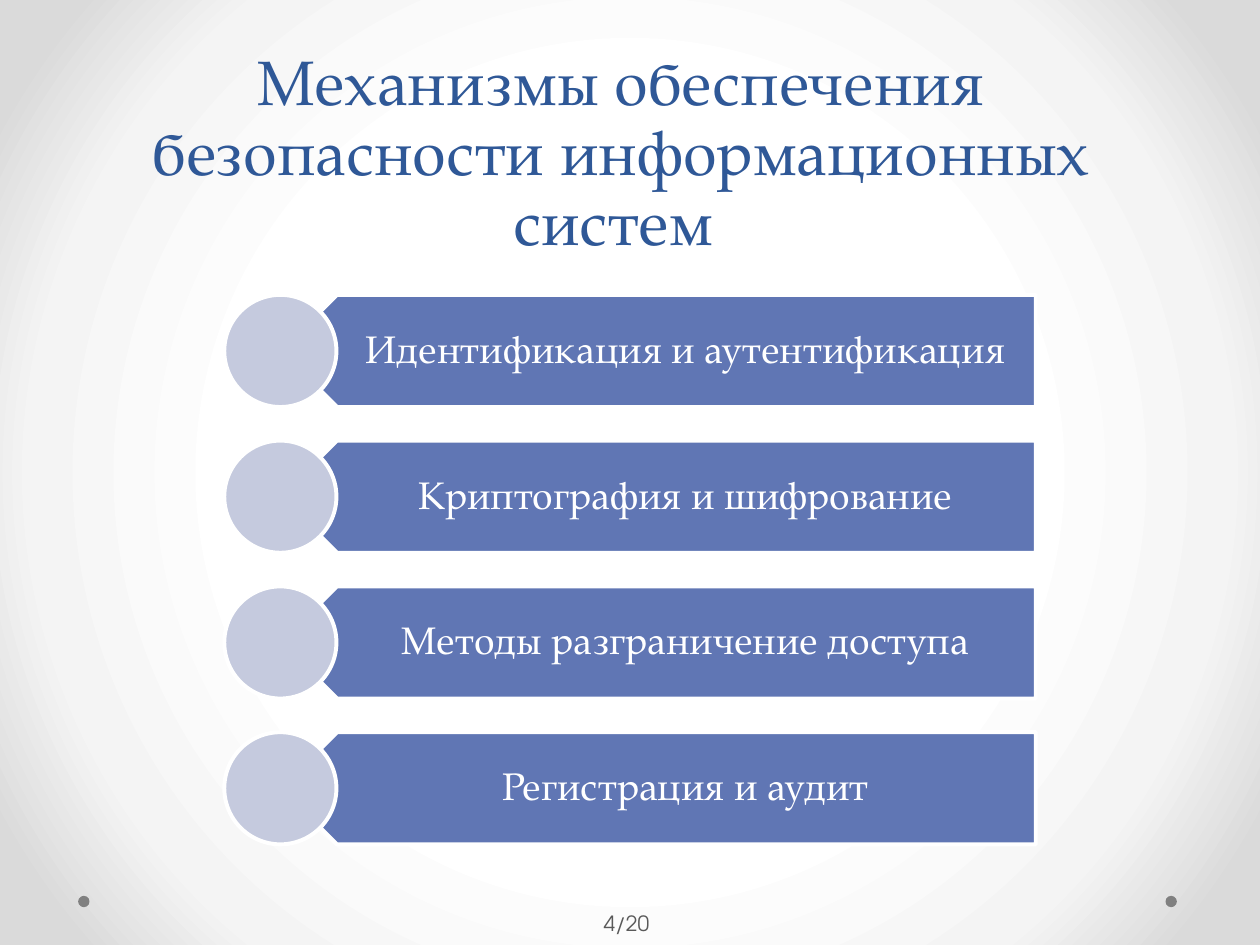
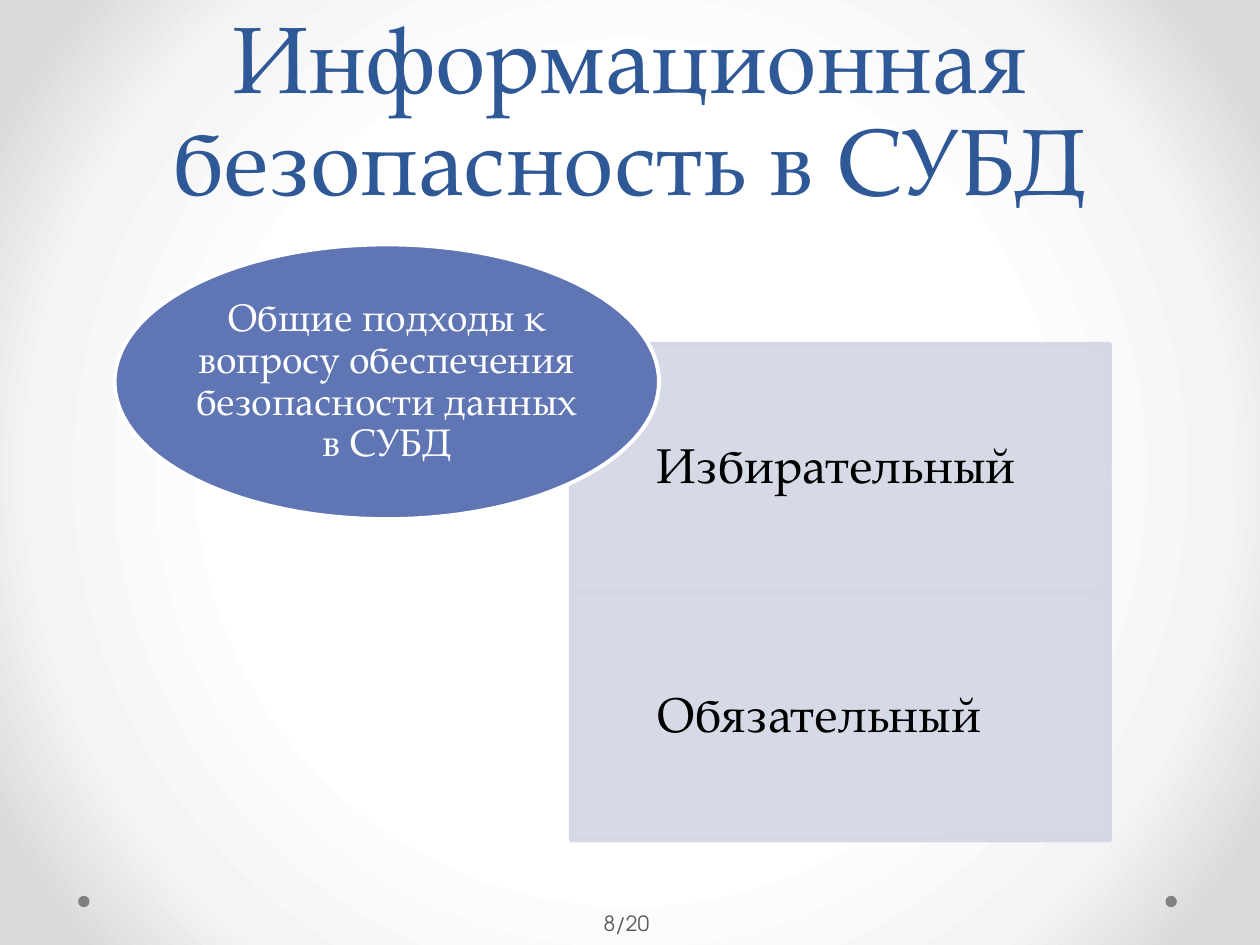
import dataclasses
import typing

import pptx
import pptx.dml.color
import pptx.enum.shapes
import pptx.enum.text
import pptx.oxml
import pptx.oxml.ns
import pptx.util

Inches = pptx.util.Inches
Pt = pptx.util.Pt
Kind = pptx.enum.shapes.MSO_SHAPE
Align = pptx.enum.text.PP_ALIGN
Anchor = pptx.enum.text.MSO_ANCHOR
qn = pptx.oxml.ns.qn

INK = {
    "title": "2F5897",
    "bar": "6076B4",
    "disc": "C5CADE",
    "panel": "D2D6E5",
    "white": "FFFFFF",
    "black": "000000",
    "dot": "808080",
    "page": "595959",
}
STOPS = [(50, "FFFFFF"), (76, "F4F4F4"), (92, "DADADA")]
SERIF = "TeX Gyre Pagella"
SANS = "TeX Gyre Adventor"


@dataclasses.dataclass(frozen=True)
class Box:
    left: float
    top: float
    width: float
    height: float

    def place(self) -> dict[str, int]:
        return {key: Inches(val) for key, val in dataclasses.asdict(self).items()}


@dataclasses.dataclass(frozen=True)
class Style:
    size: float
    ink: str
    font: str = SERIF
    align: Align = Align.CENTER
    anchor: Anchor = Anchor.MIDDLE
    inset: tuple[float, float, float, float] = (0, 0, 0, 0)
    space: typing.Any = 0.9


BAR = Style(22, "white", inset=(0.39, 0.09, 0.17, 0.09))
OVAL = Style(22, "white")
PANEL = Style(28, "black", align=Align.LEFT, inset=(0.68, 0.22, 0.22, 0.22))
PAGE = Style(12, "page", SANS, inset=(0.05, 0.05, 0.1, 0.05), space=1.0)


def apply(thing: typing.Any, values: dict[str, typing.Any]) -> None:
    for key, val in values.items():
        setattr(thing, key, val)


def tint(name: str) -> pptx.dml.color.RGBColor:
    return pptx.dml.color.RGBColor.from_string(INK[name])


def write(shape: typing.Any, text: str, style: Style) -> None:
    frame = shape.text_frame
    frame.text = text
    sides = ("margin_left", "margin_top", "margin_right", "margin_bottom")
    apply(frame, dict(zip(sides, map(Inches, style.inset))))
    apply(frame, {
        "word_wrap": True,
        "auto_size": pptx.enum.text.MSO_AUTO_SIZE.NONE,
        "vertical_anchor": style.anchor,
    })
    para = frame.paragraphs[0]
    apply(para, {"alignment": style.align, "line_spacing": style.space})
    font = para.runs[0].font
    apply(font, {"size": Pt(style.size), "name": style.font})
    font.color.rgb = tint(style.ink)


def label(slide: typing.Any, box: Box, text: str, style: Style) -> None:
    write(slide.shapes.add_textbox(**box.place()), text, style)


def draw(slide: typing.Any, kind: Kind, box: Box, fill: str,
         line: str | None = None, alpha: int = 100) -> typing.Any:
    shape = slide.shapes.add_shape(kind, **box.place())
    shape.shadow.inherit = False
    shape.fill.solid()
    shape.fill.fore_color.rgb = tint(fill)
    if line:
        shape.line.color.rgb = tint(line)
        shape.line.width = Pt(2.25)
    else:
        shape.line.fill.background()
    if alpha < 100:
        for node in shape.element.spPr.iter(qn("a:srgbClr")):
            node.append(pptx.oxml.parse_xml(
                f'<a:alpha {pptx.oxml.ns.nsdecls("a")} val="{alpha * 1000}"/>'))
    return shape


def backdrop(master: typing.Any) -> None:
    master.background.fill.gradient()
    old = master.element.cSld.find(".//" + qn("a:gradFill"))
    stops = "".join(
        f'<a:gs pos="{pos * 1000}"><a:srgbClr val="{ink}"/></a:gs>'
        for pos, ink in STOPS)
    new = pptx.oxml.parse_xml(
        f'<a:gradFill {pptx.oxml.ns.nsdecls("a")} rotWithShape="1">'
        f'<a:gsLst>{stops}</a:gsLst><a:path path="circle">'
        '<a:fillToRect l="50000" t="50000" r="50000" b="50000"/>'
        '</a:path></a:gradFill>')
    old.getparent().replace(old, new)


def start(deck: typing.Any, title: str, box: Box, size: int, lead: int,
          page: str) -> typing.Any:
    slide = deck.slides.add_slide(deck.slide_layouts[5])
    for left in (9.25, 0.62):
        draw(slide, Kind.OVAL, Box(left, 7.11, 0.09, 0.09), "dot")
    head = slide.shapes.title
    apply(head, box.place())
    write(head, title, Style(size, "title", anchor=Anchor.BOTTOM,
                             inset=(0.1, 0.05, 0.1, 0.05), space=Pt(lead)))
    label(slide, Box(4.69, 7.13, 0.61, 0.4), page, PAGE)
    return slide


def tools(deck: typing.Any) -> None:
    slide = start(deck, "Механизмы обеспечения безопасности информационных систем ",
                  Box(0.43, 0.21, 9, 1.89), 36, 40, "4/20")
    names = [
        "Идентификация и аутентификация",
        "Криптография и шифрование",
        "Методы разграничение доступа",
        "Регистрация и аудит",
    ]
    side, step = 0.89, 1.157
    for row, name in enumerate(names):
        top = 2.34 + row * step
        bar = draw(slide, Kind.PENTAGON, Box(2.23, top, 5.99, side), "bar", "white")
        bar.rotation = 180
        label(slide, Box(2.45, top, 5.76, side), name, BAR)
        draw(slide, Kind.OVAL, Box(1.78, top, side, side), "disc", "white")


def models(deck: typing.Any) -> None:
    slide = start(deck, "Информационная безопасность в СУБД",
                  Box(0.5, 0, 9, 1.75), 54, 58, "8/20")
    high = 1.97
    for row, name in enumerate(["Избирательный", "Обязательный"]):
        box = Box(4.53, 2.73 + row * high, 4.28, high)
        panel = draw(slide, Kind.RECTANGLE, box, "panel", "panel", 90)
        write(panel, name, PANEL)
    oval = draw(slide, Kind.OVAL, Box(0.91, 1.94, 4.32, 2.18), "bar", "white")
    write(oval, "Общие подходы к вопросу обеспечения безопасности данных в СУБД", OVAL)


def main() -> None:
    deck = pptx.Presentation()
    apply(deck, {"slide_width": Inches(10), "slide_height": Inches(7.5)})
    backdrop(deck.slide_master)
    tools(deck)
    models(deck)
    deck.save("out.pptx")


main()
